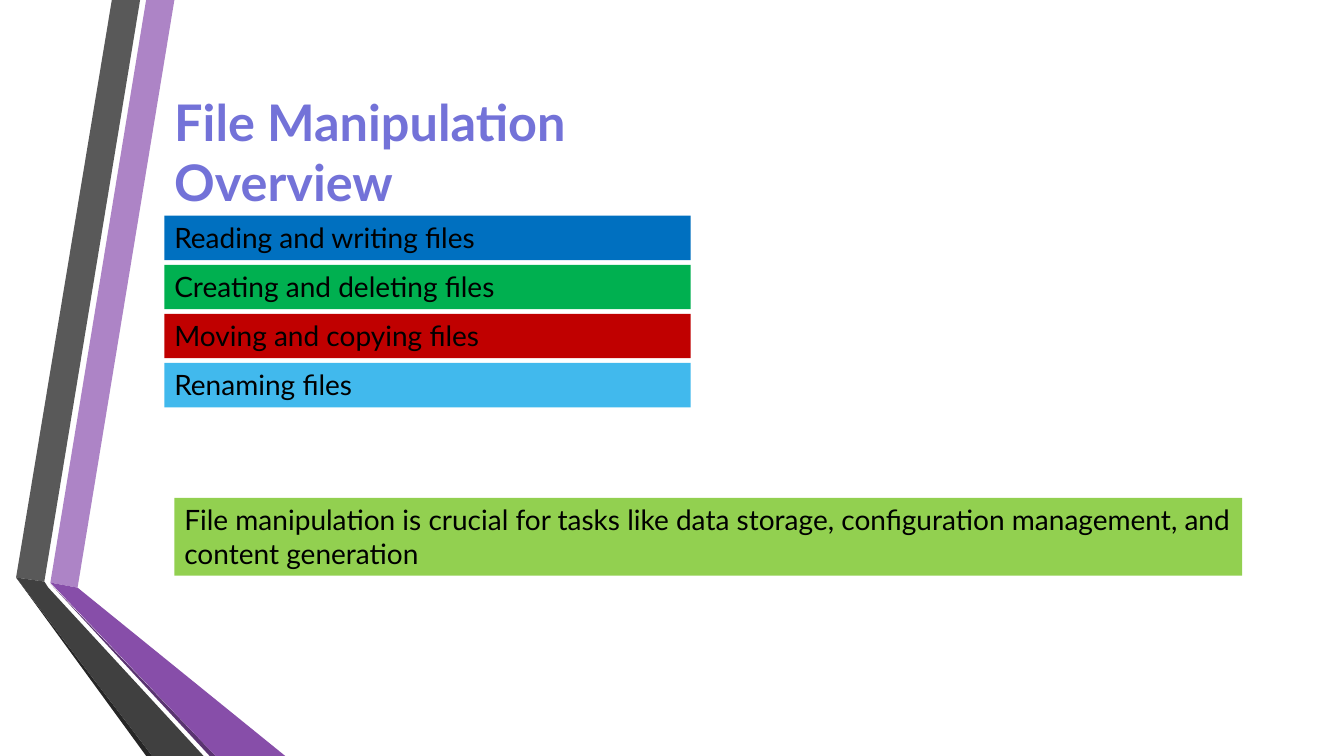
from dataclasses import dataclass

from pptx import Presentation
from pptx import util as u
from pptx.dml.color import RGBColor
from pptx.enum import shapes, text

FONT = "Lato"
BLACK = RGBColor(0x00, 0x00, 0x00)
TITLE = RGBColor(0x73, 0x72, 0xD8)
BLUE = RGBColor(0x00, 0x70, 0xC0)
GREEN = RGBColor(0x00, 0xB0, 0x50)
RED = RGBColor(0xC0, 0x00, 0x00)
SKY = RGBColor(0x41, 0xB9, 0xED)
LIME = RGBColor(0x92, 0xD0, 0x50)
LILAC = RGBColor(0xAD, 0x84, 0xC6)
PURPLE = RGBColor(0x87, 0x4E, 0xA9)
PLUM = RGBColor(0x5A, 0x34, 0x71)
GREY = RGBColor(0x59, 0x59, 0x59)
DARK = RGBColor(0x40, 0x40, 0x40)
COAL = RGBColor(0x26, 0x26, 0x26)


@dataclass
class Band:
    color: RGBColor
    points: list[tuple[float, float]]


@dataclass
class Bar:
    words: str
    color: RGBColor
    left: float
    top: float
    width: float
    height: float


# Folded ribbons at the left edge, from back to front
BANDS = [
    Band(LILAC, [(0.5, 5.78), (0.77, 5.83), (1.73, 0), (1.45, 0)]),
    Band(GREY, [(1.39, 0), (1.11, 0), (0.16, 5.73), (0.44, 5.77)]),
    Band(COAL, [(0.16, 5.73), (1.45, 7.5), (1.51, 7.5)]),
    Band(PLUM, [(0.5, 5.79), (2.08, 7.5), (2.14, 7.5)]),
    Band(PURPLE, [(0.5, 5.78), (2.14, 7.5), (2.83, 7.5), (0.77, 5.83)]),
    Band(DARK, [(2.02, 7.5), (0.48, 5.83), (0.44, 5.77), (0.16, 5.73), (1.51, 7.5)]),
]

# Stacked topics and the closing remark
TOPICS = [
    ("Reading and writing files", BLUE),
    ("Creating and deleting files", GREEN),
    ("Moving and copying files", RED),
    ("Renaming files", SKY),
]
LEFT, TOP, STEP = 1.63, 2.14, 0.487
BARS = [
    Bar(words, color, LEFT, TOP + row * STEP, 5.22, 0.44)
    for row, (words, color) in enumerate(TOPICS)
]
BARS.append(Bar(
    "File manipulation is crucial for tasks like data storage, "
    "configuration management, and content generation",
    LIME, 1.73, 4.94, 10.59, 0.77,
))


def paint(shape, color: RGBColor) -> None:
    shape.shadow.inherit = False
    shape.fill.solid()
    shape.fill.fore_color.rgb = color
    shape.line.fill.background()


def write(shape, words: str, size: int, color: RGBColor, bold: bool = False) -> None:
    frame = shape.text_frame
    frame.word_wrap = True
    frame.vertical_anchor = text.MSO_ANCHOR.TOP
    frame.auto_size = text.MSO_AUTO_SIZE.SHAPE_TO_FIT_TEXT
    para = frame.paragraphs[0]
    para.alignment = text.PP_ALIGN.LEFT
    run = para.add_run()
    run.text = words
    run.font.name = FONT
    run.font.size = u.Pt(size)
    run.font.bold = bold
    run.font.color.rgb = color


def draw_band(slide, band: Band) -> None:
    start, *rest = [(u.Inches(x), u.Inches(y)) for x, y in band.points]
    pen = slide.shapes.build_freeform(*start)
    pen.add_line_segments(rest, close=True)
    paint(pen.convert_to_shape(), band.color)


def draw_bar(slide, bar: Bar) -> None:
    shape = slide.shapes.add_shape(
        shapes.MSO_SHAPE.RECTANGLE, u.Inches(bar.left), u.Inches(bar.top),
        u.Inches(bar.width), u.Inches(bar.height))
    paint(shape, bar.color)
    write(shape, bar.words, 20, BLACK)


def main() -> None:
    deck = Presentation()
    deck.slide_width = u.Inches(13.33)
    deck.slide_height = u.Inches(7.5)
    slide = deck.slides.add_slide(deck.slide_layouts[6])

    for band in BANDS:
        draw_band(slide, band)

    # Title
    title = slide.shapes.add_textbox(
        u.Inches(LEFT), u.Inches(0.85), u.Inches(6.2), u.Inches(0.71))
    write(title, "File Manipulation Overview", 36, TITLE, bold=True)

    for bar in BARS:
        draw_bar(slide, bar)

    deck.save("out.pptx")


if __name__ == "__main__":
    main()
